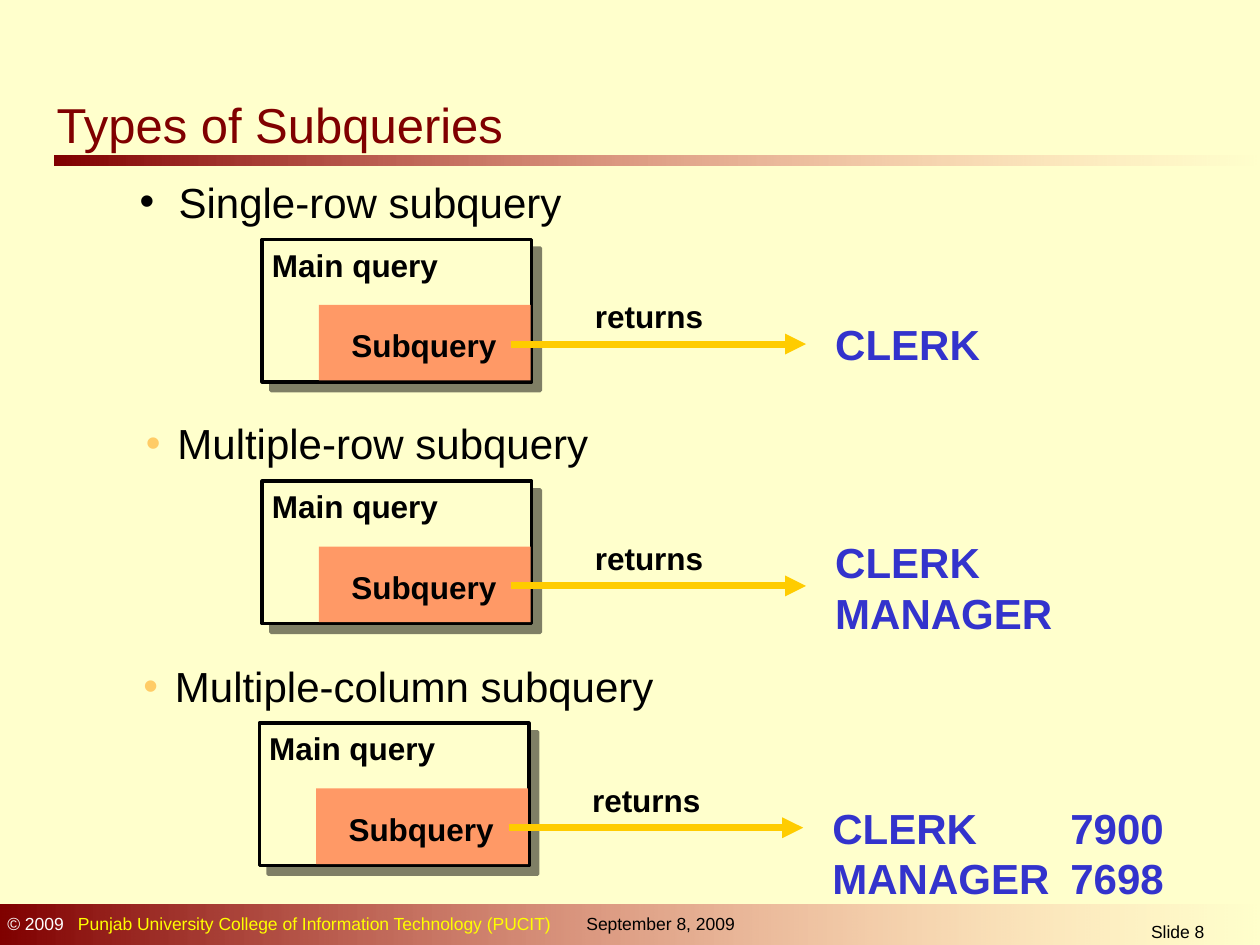
import pptx
import pptx.util
import pptx.dml.color
import pptx.enum.dml
import pptx.enum.shapes
import pptx.enum.text
import pptx.oxml
import pptx.oxml.ns
import pptx.oxml.xmlchemy

Pt = pptx.util.Pt
RGBColor = pptx.dml.color.RGBColor
RECTANGLE = pptx.enum.shapes.MSO_SHAPE.RECTANGLE
ALIGN = pptx.enum.text.PP_ALIGN
ANCHOR = pptx.enum.text.MSO_ANCHOR
qn = pptx.oxml.ns.qn
OxmlElement = pptx.oxml.xmlchemy.OxmlElement

CREAM = RGBColor(0xFF, 0xFF, 0xCC)
MAROON = RGBColor(0x80, 0x00, 0x00)
PINK = RGBColor(0xFF, 0x85, 0x85)
BLACK = RGBColor(0x00, 0x00, 0x00)
WHITE = RGBColor(0xFF, 0xFF, 0xFF)
YELLOW = RGBColor(0xFF, 0xFF, 0x00)
SALMON = RGBColor(0xFF, 0x99, 0x66)
GOLD = RGBColor(0xFF, 0xCC, 0x00)
BLUE = RGBColor(0x33, 0x33, 0xCC)
AMBER = RGBColor(0xFF, 0xCC, 0x66)

ROW_PITCH = 138.2
QUERY_TYPES = [
    ("Single-row subquery", (102.2, 97.2), 22.3, BLACK, 0, ["CLERK"], 178.6),
    ("Multiple-row subquery", (101.5, 235), 18, AMBER, 0, ["CLERK", "MANAGER"], 303.1),
    ("Multiple-column subquery", (100.1, 374), 18, AMBER, -1.6,
     ["CLERK\t7900", "MANAGER\t7698"], 455),
]


def add_child(parent, tag, **attributes):
    child = OxmlElement(tag)
    for key, value in attributes.items():
        child.set(key, str(value))
    parent.append(child)
    return child


def style_font(font, size, color, bold=False):
    font.name = "Arial"
    font.size = Pt(size)
    font.bold = bold
    font.color.rgb = color


def add_tab(paragraph, position):
    tabs = add_child(paragraph._p.get_or_add_pPr(), "a:tabLst")
    add_child(tabs, "a:tab", pos=int(Pt(position)), algn="l")


def add_bullet(paragraph, hang, color):
    properties = paragraph._p.get_or_add_pPr()
    properties.set("marL", str(int(Pt(hang))))
    properties.set("indent", str(-int(Pt(hang))))
    bullet_color = add_child(properties, "a:buClr")
    add_child(bullet_color, "a:srgbClr", val=color)
    add_child(properties, "a:buFont", typeface="Arial")
    add_child(properties, "a:buChar", char="•")


def add_frame(slide, left, top, width, height):
    box = slide.shapes.add_textbox(Pt(left), Pt(top), Pt(width), Pt(height))
    box.text_frame.word_wrap = True
    return box.text_frame


def add_text(slide, lines, left, top, width, height, size, color,
             bold=False, align=ALIGN.LEFT, tab=None):
    frame = add_frame(slide, left, top, width, height)
    frame.text = "\n".join(lines)
    for paragraph in frame.paragraphs:
        paragraph.alignment = align
        if tab:
            add_tab(paragraph, tab)
        style_font(paragraph.font, size, color, bold)


def add_rectangle(slide, left, top, width, height):
    rectangle = slide.shapes.add_shape(RECTANGLE, Pt(left), Pt(top), Pt(width), Pt(height))
    rectangle.shadow.inherit = False
    rectangle.line.fill.background()
    return rectangle


def add_fading_band(slide, left, top, width, height):
    fill = add_rectangle(slide, left, top, width, height).fill
    fill.gradient()
    fill.gradient_angle = 0
    start, end = fill.gradient_stops
    start.color.rgb = MAROON
    end.color.rgb = PINK
    add_child(end._gs.find(qn("a:srgbClr")), "a:alpha", val=0)


def add_drop_shadow(shape):
    effects = shape._element.spPr.find(qn("a:effectLst"))
    shadow = add_child(effects, "a:outerShdw", dist=int(Pt(7.1)), dir=45 * 60000,
                       algn="ctr", rotWithShape=0)
    shadow_color = add_child(shadow, "a:srgbClr", val=BLACK)
    add_child(shadow_color, "a:alpha", val=50000)


def add_arrow(slide, left, right, y):
    arrow = slide.shapes.add_connector(
        pptx.enum.shapes.MSO_CONNECTOR.STRAIGHT, Pt(left), Pt(y), Pt(right), Pt(y))
    arrow.line.color.rgb = GOLD
    arrow.line.width = Pt(4)
    add_child(arrow.line._get_or_add_ln(), "a:tailEnd", type="triangle")
    add_child(arrow._element.spPr, "a:effectLst")


def add_heading(slide, text, left, top, hang, bullet_color):
    frame = add_frame(slide, left - hang - 7.2, top, 570, 36)
    paragraph = frame.paragraphs[0]
    paragraph.text = text
    add_bullet(paragraph, hang, bullet_color)
    style_font(paragraph.font, 24, BLACK)


def add_query_diagram(slide, x, y):
    main_query = add_rectangle(slide, x + 149.8, y, 154, 81.4)
    main_query.fill.solid()
    main_query.fill.fore_color.rgb = CREAM
    main_query.line.color.rgb = BLACK
    main_query.line.width = Pt(2)
    add_drop_shadow(main_query)
    add_text(slide, ["Main query"], x + 148.3, y, 112, 29, 18, BLACK, True)

    subquery = add_rectangle(slide, x + 182.2, y + 37.4, 121, 43.2)
    subquery.fill.solid()
    subquery.fill.fore_color.rgb = SALMON
    add_text(slide, ["Subquery"], x + 193.7, y + 46, 102, 29, 18, BLACK, True)

    add_arrow(slide, x + 292.2, x + 460.6, y + 59.8)
    add_text(slide, ["returns"], x + 332.8, y + 29.4, 82, 29, 18, BLACK, True)


def add_title(slide, text):
    title = slide.shapes.title
    title.left, title.top, title.width, title.height = Pt(25.2), Pt(49), Pt(287.3), Pt(43.2)
    frame = title.text_frame
    frame.text = text
    frame.vertical_anchor = ANCHOR.MIDDLE
    frame.paragraphs[0].alignment = ALIGN.LEFT
    style_font(frame.paragraphs[0].font, 28, MAROON)


def add_footer(slide):
    add_fading_band(slide, 0, 517, 720, 23)
    paragraph = add_frame(slide, -2.9, 518.4, 335, 19.4).paragraphs[0]
    add_tab(paragraph, 40.4)
    paragraph.font.name = "Arial"
    paragraph.font.size = Pt(10)
    college = "\tPunjab University College of Information Technology (PUCIT)"
    for text, color in (("© 2009", WHITE), (college, YELLOW)):
        run = paragraph.add_run()
        run.text = text
        run.font.color.rgb = color
    add_text(slide, ["September 8, 2009"], 328, 518.4, 112, 19.4, 10, BLACK)
    add_text(slide, ["Slide 8"], 628, 522.7, 90, 17.3, 10, BLACK, align=ALIGN.CENTER)


def main():
    presentation = pptx.Presentation()
    presentation.slide_width, presentation.slide_height = Pt(720), Pt(540)
    slide = presentation.slides.add_slide(presentation.slide_layouts[5])
    slide.background.fill.solid()
    slide.background.fill.fore_color.rgb = CREAM

    add_fading_band(slide, 31, 88.6, 689, 5.8)
    add_footer(slide)
    add_title(slide, "Types of Subqueries")
    for row, query_type in enumerate(QUERY_TYPES):
        heading, (left, top), hang, bullet_color, shift, results, results_top = query_type
        add_heading(slide, heading, left, top, hang, bullet_color)
        add_query_diagram(slide, shift, 136.8 + row * ROW_PITCH)
        add_text(slide, results, 470.2 + shift, results_top, 210, 7.2 + 28.8 * len(results),
                 24, BLUE, True, tab=136)
    presentation.save("out.pptx")


if __name__ == "__main__":
    main()
